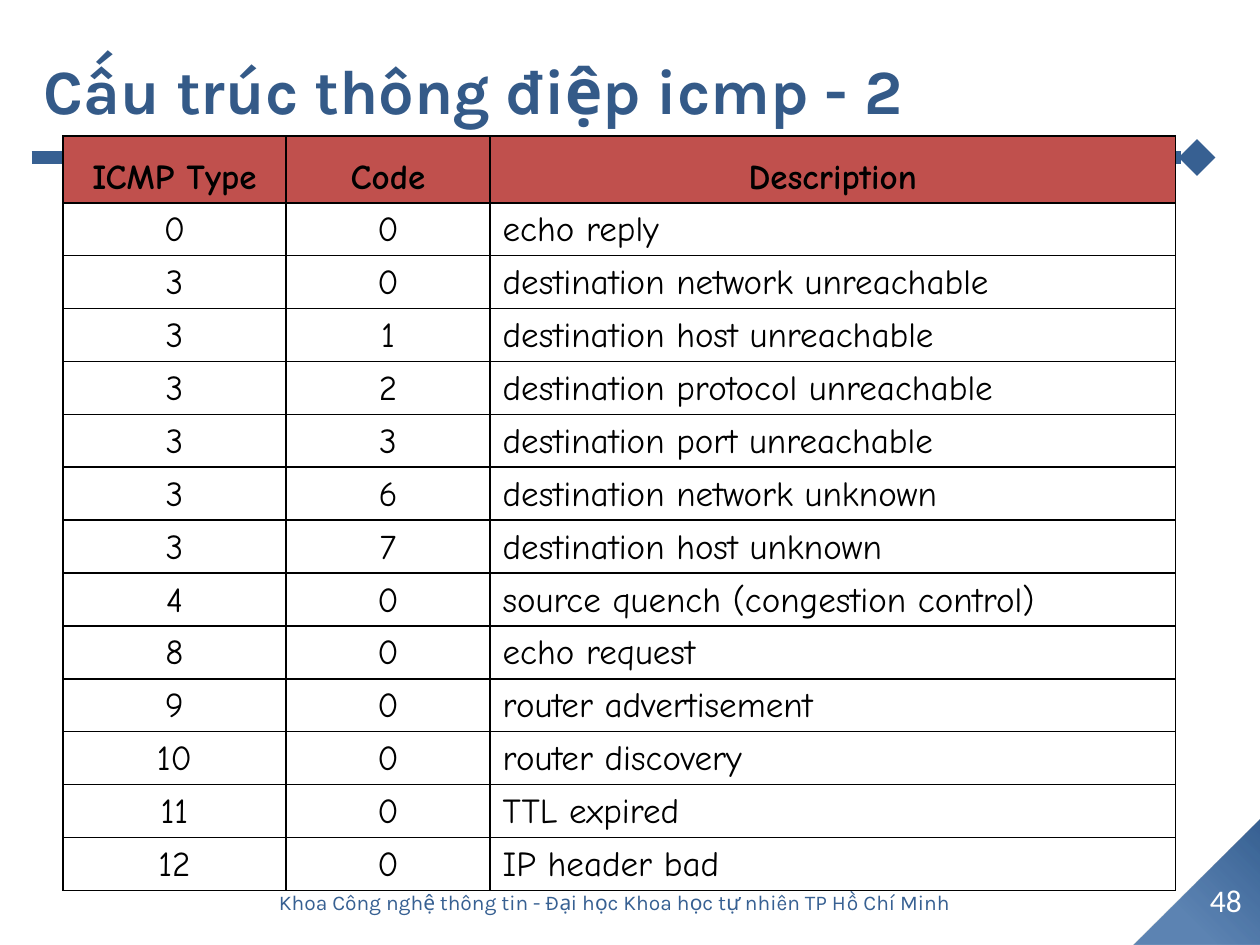
from lxml import etree
from pptx import Presentation
from pptx.dml.color import RGBColor
from pptx.enum.shapes import MSO_CONNECTOR, MSO_SHAPE
from pptx.enum.text import MSO_ANCHOR, PP_ALIGN
from pptx.oxml import parse_xml
from pptx.oxml.ns import nsdecls, qn
from pptx.util import Inches, Pt

BLUE = "376092"
BLACK = "000000"
HEADS = ("ICMP Type", "Code", "Description")
ROWS = [
    (0, 0, "echo reply"),
    (3, 0, "destination network unreachable"),
    (3, 1, "destination host unreachable"),
    (3, 2, "destination protocol unreachable"),
    (3, 3, "destination port unreachable"),
    (3, 6, "destination network unknown"),
    (3, 7, "destination host unknown"),
    (4, 0, "source quench (congestion control)"),
    (8, 0, "echo request"),
    (9, 0, "router advertisement"),
    (10, 0, "router discovery"),
    (11, 0, "TTL expired"),
    (12, 0, "IP header bad"),
]
WIDTHS = (1.77, 1.62, 5.44)
HEAD_H, ROW_H = 0.53, 0.42


def color(value):
    return RGBColor.from_string(value)


def write(frame, text, size, font, ink, bold=False, align=PP_ALIGN.LEFT):
    frame.text = text
    par = frame.paragraphs[0]
    par.alignment = align
    face = par.runs[0].font
    face.size, face.name, face.bold = Pt(size), font, bold
    face.color.rgb = color(ink)


def add_text(slide, box, text, size, font, ink, **style):
    frame = slide.shapes.add_textbox(*map(Inches, box)).text_frame
    frame.word_wrap = True
    frame.vertical_anchor = MSO_ANCHOR.MIDDLE
    write(frame, text, size, font, ink, **style)


def add_corner(slide, box):
    """Right triangle whose square corner sits at the bottom right."""
    shape = slide.shapes.add_shape(MSO_SHAPE.RIGHT_TRIANGLE, *map(Inches, box))
    shape.rotation = 270
    shape.shadow.inherit = False
    shape.line.fill.background()
    shape.fill.solid()
    props = shape._element.spPr
    props.replace(props.find(qn("a:solidFill")), parse_xml(
        f'<a:gradFill {nsdecls("a")} rotWithShape="1"><a:gsLst>'
        f'<a:gs pos="0"><a:srgbClr val="{BLUE}"/></a:gs>'
        '<a:gs pos="68000"><a:srgbClr val="3D6CA4">'
        '<a:alpha val="83000"/></a:srgbClr></a:gs></a:gsLst>'
        '<a:path path="circle"><a:fillToRect l="100000" b="100000"/></a:path>'
        '</a:gradFill>'))


def add_rule(slide, left, top, width):
    line = slide.shapes.add_connector(
        MSO_CONNECTOR.STRAIGHT, Inches(left), Inches(top),
        Inches(left + width), Inches(top))
    line.line.color.rgb = color(BLUE)
    line.line.width = Pt(7)
    etree.SubElement(line.line._get_or_add_ln(), qn("a:tailEnd"), type="diamond")
    etree.SubElement(line._element.spPr, qn("a:effectLst"))


def add_border(cell):
    props = cell._tc.get_or_add_tcPr()
    for spot, side in enumerate(("lnL", "lnR", "lnT", "lnB")):
        props.insert(spot, parse_xml(
            f'<a:{side} {nsdecls("a")} w="{Pt(1)}"><a:solidFill>'
            f'<a:srgbClr val="{BLACK}"/></a:solidFill></a:{side}>'))


def add_grid(slide, left, top):
    height = HEAD_H + ROW_H * len(ROWS)
    table = slide.shapes.add_table(
        len(ROWS) + 1, len(HEADS), Inches(left), Inches(top),
        Inches(sum(WIDTHS)), Inches(height)).table
    table.horz_banding = False
    for col, width in zip(table.columns, WIDTHS):
        col.width = Inches(width)
    for r, values in enumerate([HEADS, *ROWS]):
        head = r == 0
        table.rows[r].height = Inches(HEAD_H if head else ROW_H)
        for c, value in enumerate(values):
            cell = table.cell(r, c)
            cell.vertical_anchor = MSO_ANCHOR.BOTTOM
            cell.margin_top = cell.margin_bottom = Inches(0.04)
            if head:
                cell.fill.solid()
                cell.fill.fore_color.rgb = color("C0504D")
            else:
                cell.fill.background()
            add_border(cell)
            align = PP_ALIGN.CENTER if head or c < 2 else PP_ALIGN.LEFT
            write(cell.text_frame, str(value), 20, "Comic Neue", BLACK,
                  bold=head, align=align)


def main():
    deck = Presentation()
    deck.slide_width, deck.slide_height = Inches(10), Inches(7.5)
    slide = deck.slides.add_slide(deck.slide_layouts[6])
    add_corner(slide, (9, 6.5, 1, 1))
    add_rule(slide, 0.25, 1.25, 9.25)
    add_text(slide, (0.25, 0.08, 9.57, 1.25), "Cấu trúc thông điệp icmp - 2",
             36, "Karla", "345A88", bold=True)
    add_grid(slide, 0.5, 1.08)
    add_text(slide, (9.46, 6.94, 0.54, 0.4), "48", 18, "Calibri", "FFFFFF",
             align=PP_ALIGN.CENTER)
    add_text(slide, (1.25, 6.96, 7.25, 0.4),
             "Khoa Công nghệ thông tin - Đại học Khoa học tự nhiên TP Hồ Chí Minh",
             12, "Karla", BLUE, align=PP_ALIGN.CENTER)
    deck.save("out.pptx")


if __name__ == "__main__":
    main()
